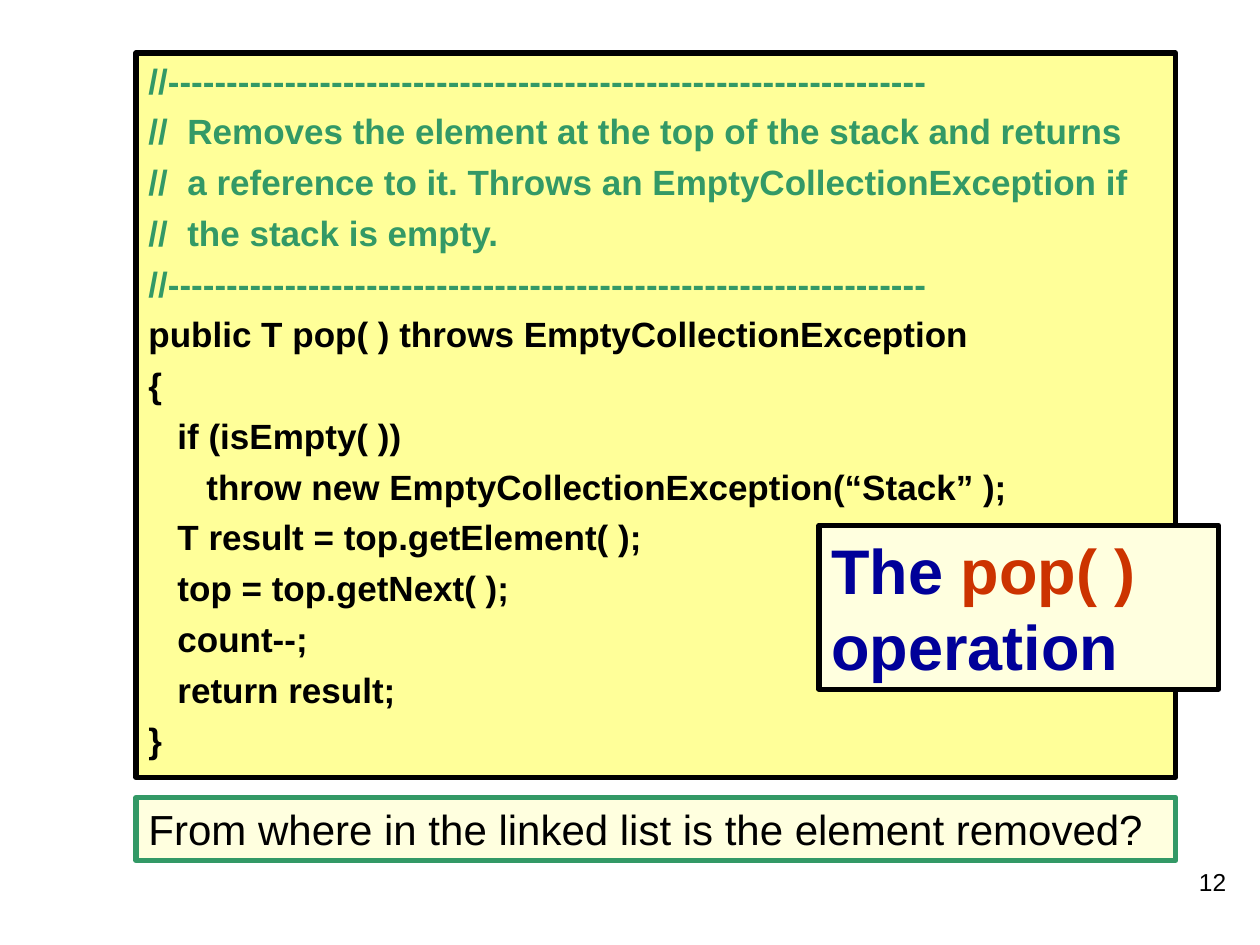
from pptx import Presentation
from pptx.dml.color import RGBColor
from pptx.enum.shapes import MSO_SHAPE
from pptx.enum.text import MSO_ANCHOR, PP_ALIGN
from pptx.util import Inches, Pt

BLACK = RGBColor(0x00, 0x00, 0x00)
GREEN = RGBColor(0x33, 0x99, 0x66)
NAVY = RGBColor(0x00, 0x00, 0x99)
RED = RGBColor(0xCC, 0x33, 0x00)
YELLOW = RGBColor(0xFF, 0xFF, 0x99)
CREAM = RGBColor(0xFF, 0xFF, 0xDF)

CODE_INDENT = Inches(0.23)
RULE = "//" + "-" * 65

COMMENT_LINES = [
    RULE,
    "//  Removes the element at the top of the stack and returns",
    "//  a reference to it. Throws an EmptyCollectionException if",
    "//  the stack is empty.",
    RULE,
]
CODE_LINES = [  # indent level, statement
    (0, "public T pop( ) throws EmptyCollectionException"),
    (0, "{"),
    (1, "if (isEmpty( ))"),
    (2, "throw new EmptyCollectionException(“Stack” );"),
    (1, "T result = top.getElement( );"),
    (1, "top = top.getNext( );"),
    (1, "count--;"),
    (1, "return result;"),
    (0, "}"),
]


def add_panel(left, top, width, height, fill, border):
    """Add a bordered rectangle and return its text frame."""
    panel = slide.shapes.add_shape(
        MSO_SHAPE.RECTANGLE, Inches(left), Inches(top), Inches(width), Inches(height)
    )
    panel.shadow.inherit = False
    panel.fill.solid()
    panel.fill.fore_color.rgb = fill
    panel.line.color.rgb = border
    panel.line.width = Pt(3)
    frame = panel.text_frame
    frame.word_wrap = True
    frame.vertical_anchor = MSO_ANCHOR.TOP
    frame.paragraphs[0].alignment = PP_ALIGN.LEFT
    return frame


def add_run(paragraph, text, size, color, bold=False):
    run = paragraph.add_run()
    run.text = text
    run.font.name = "Arial"
    run.font.size = Pt(size)
    run.font.bold = bold
    run.font.color.rgb = color


prs = Presentation()
prs.slide_width = Inches(10)
prs.slide_height = Inches(7.5)
slide = prs.slides.add_slide(prs.slide_layouts[6])

# Source code of the method
listing = add_panel(1.08, 0.42, 8.25, 5.75, YELLOW, BLACK)
lines = [(0, text, GREEN) for text in COMMENT_LINES]
lines += [(level, text, BLACK) for level, text in CODE_LINES]
for number, (level, text, color) in enumerate(lines):
    line = listing.add_paragraph() if number else listing.paragraphs[0]
    line.alignment = PP_ALIGN.LEFT
    line.space_before = Pt(5)
    line._p.get_or_add_pPr().set("marL", str(level * CODE_INDENT))
    add_run(line, text, 20, color, bold=True)

# Question below the code
question = add_panel(1.08, 6.33, 8.25, 0.5, CREAM, GREEN)
add_run(question.paragraphs[0],
        "From where in the linked list is the element removed?", 24, BLACK)

# Title overlapping the code
title = add_panel(6.5, 4.17, 3.17, 1.3, CREAM, BLACK).paragraphs[0]
title.space_before = Pt(22.5)
for text, color in [("The ", NAVY), ("pop( ) ", RED), ("operation", NAVY)]:
    add_run(title, text, 36, color, bold=True)

# Slide number
page = slide.shapes.add_textbox(Inches(7.75), Inches(6.83), Inches(2.08), Inches(0.5))
page.text_frame.word_wrap = True
page_number = page.text_frame.paragraphs[0]
page_number.alignment = PP_ALIGN.RIGHT
add_run(page_number, "12", 14, BLACK)

prs.save("out.pptx")
